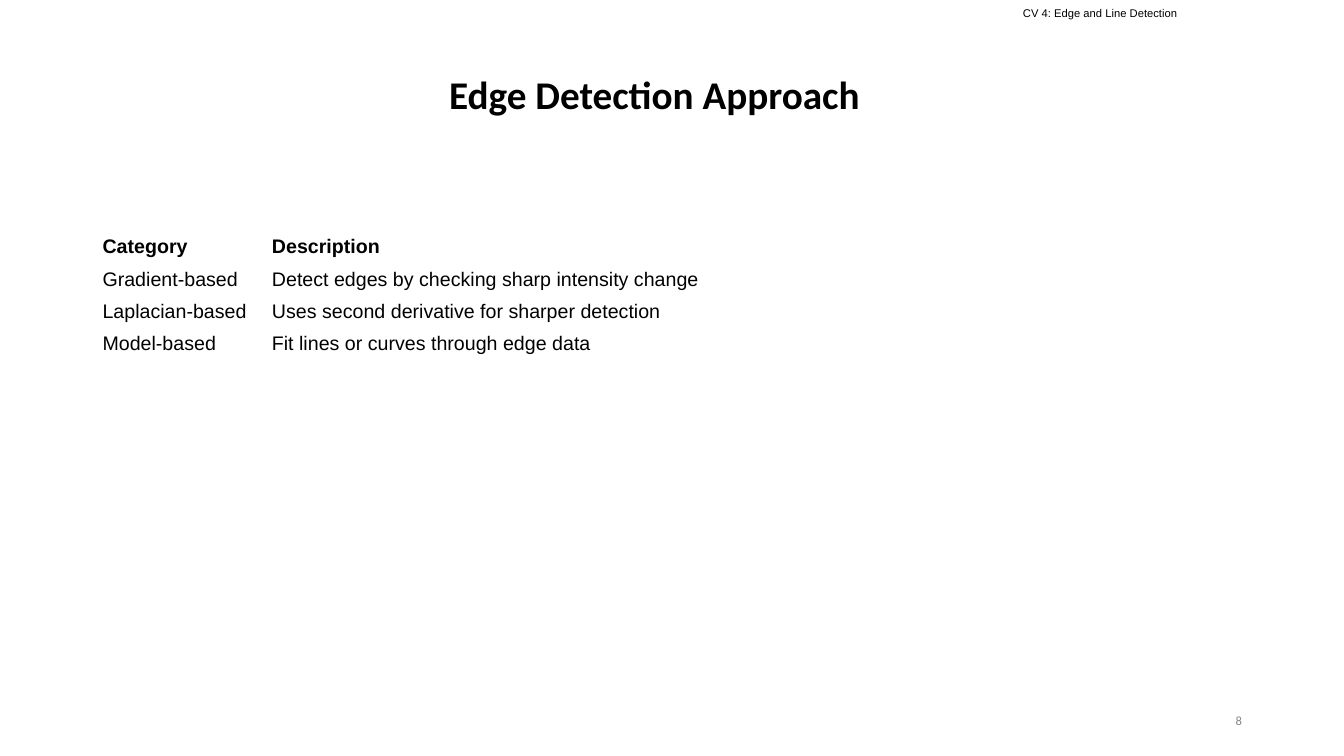
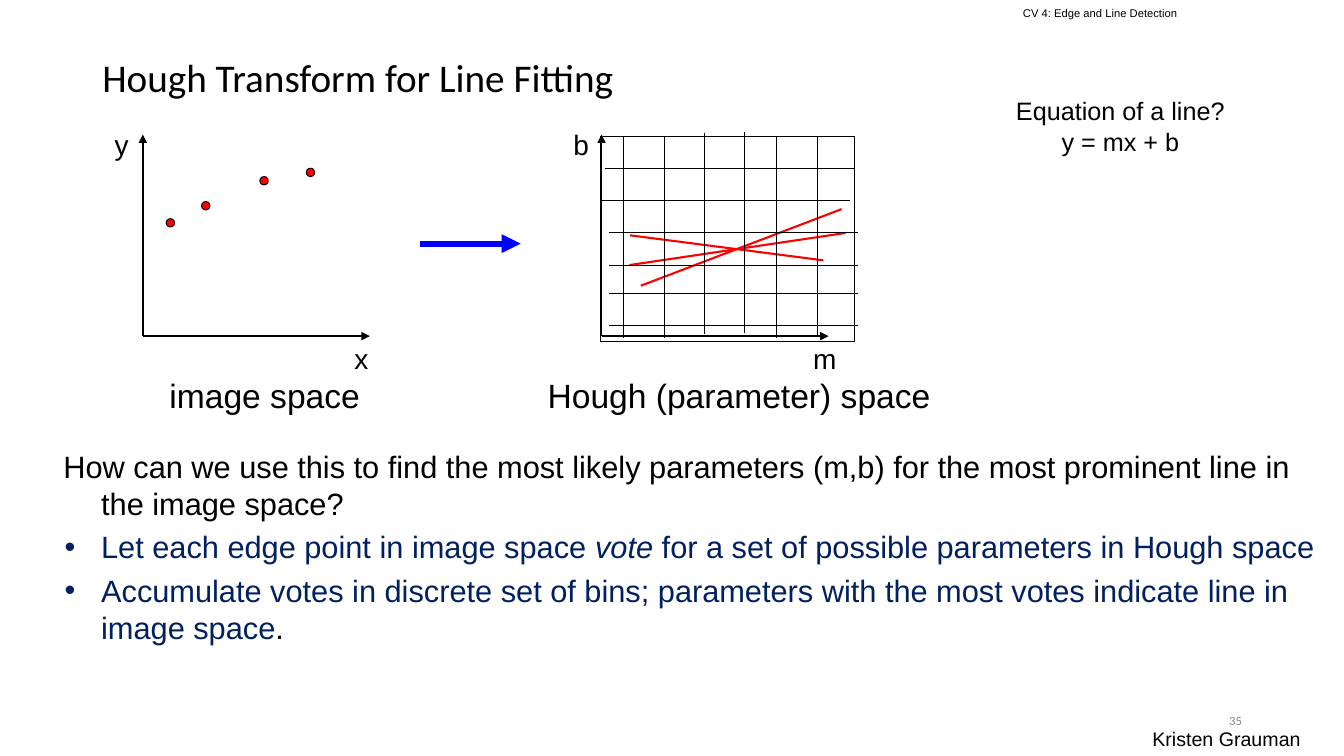
from lxml.etree import SubElement
from pptx import Presentation
from pptx.dml.color import RGBColor
from pptx.enum.shapes import MSO_CONNECTOR, MSO_SHAPE
from pptx.enum.text import MSO_ANCHOR, PP_ALIGN
from pptx.oxml.ns import qn
from pptx.util import Cm, Pt

BLACK, GREY, NAVY = "000000", "888888", "002060"
RED, BLUE = "FF0000", "0000FF"
color = RGBColor.from_string


def add_text(page, place, text, size, align=PP_ALIGN.LEFT, font="Arial",
             hue=BLACK, anchor=MSO_ANCHOR.TOP, bold=False, spacing=None):
    """Add a text box; place is left, top, width, height in cm."""
    box = page.shapes.add_textbox(*[Cm(length) for length in place])
    frame = box.text_frame
    frame.word_wrap = True
    frame.vertical_anchor = anchor
    frame.text = text
    for para in frame.paragraphs:
        para.alignment = align
        para.line_spacing = spacing
        for span in para.runs:
            span.font.name, span.font.size, span.font.bold = font, Pt(size), bold
            span.font.color.rgb = color(hue)
    return box


def add_line(page, start, end, hue=BLACK, width=0.75, arrow=False):
    """Add a straight line between two points in cm."""
    line = page.shapes.add_connector(
        MSO_CONNECTOR.STRAIGHT, *[Cm(length) for length in start + end])
    line.line.color.rgb = color(hue)
    line.line.width = Pt(width)
    if arrow:
        SubElement(line.line._get_or_add_ln(), qn("a:tailEnd"), type="triangle")
    SubElement(line._element.spPr, qn("a:effectLst"))


deck = Presentation()
deck.slide_width, deck.slide_height = Cm(33.87), Cm(19.05)

# Shared header, title and page number
pages = []
for title, number, top, align, bold in [
    ("Edge Detection Approach", "8", 1.02, PP_ALIGN.CENTER, True),
    ("Hough Transform for Line Fitting", "35", 0.58, PP_ALIGN.LEFT, False),
]:
    page = deck.slides.add_slide(deck.slide_layouts[6])
    header = add_text(page, (25.53, 0, 8.33, 0.86), "CV 4: Edge and Line Detection", 8)
    header.text_frame.margin_top = header.text_frame.margin_bottom = Cm(0.25)
    add_text(page, (2.33, top, 28.32, 2.84), title, 28, align, "Calibri",
             anchor=MSO_ANCHOR.MIDDLE, bold=bold, spacing=0.9)
    add_text(page, (23.93, 17.65, 7.62, 1.02), number, 9, PP_ALIGN.RIGHT,
             "Calibri", GREY, MSO_ANCHOR.MIDDLE)
    pages.append(page)
approach_page, hough_page = pages

# Table of approaches
rows = [
    ("Category", "Description"),
    ("Gradient-based", "Detect edges by checking sharp intensity change"),
    ("Laplacian-based", "Uses second derivative for sharper detection"),
    ("Model-based", "Fit lines or curves through edge data"),
]
row_height = 0.81
table = approach_page.shapes.add_table(
    len(rows), 2, Cm(2.33), Cm(5.82), Cm(18.87), Cm(row_height * len(rows))).table
table.first_row = table.horz_banding = False
table.columns[0].width, table.columns[1].width = Cm(4.27), Cm(14.6)
for row_index, row in enumerate(rows):
    for column_index, text in enumerate(row):
        cell = table.cell(row_index, column_index)
        cell.fill.background()
        cell.vertical_anchor = MSO_ANCHOR.MIDDLE
        cell.margin_top = cell.margin_bottom = Cm(0.1)
        cell.text = text
        font = cell.text_frame.paragraphs[0].runs[0].font
        font.name, font.size, font.bold = "Arial", Pt(14), row_index == 0
        font.color.rgb = color(BLACK)

# Credit and line equation
add_text(hough_page, (28.79, 18.19, 5.08, 0.86), "Kristen Grauman", 14)
add_text(hough_page, (24.74, 2.29, 6.99, 1.8), "Equation of a line?\ny = mx + b",
         18, PP_ALIGN.CENTER)

# Axes of both spaces
axis_top, axis_bottom, axis_length = 3.39, 8.47, 5.72
for left, across, up, name, name_left, name_width in [
    (3.6, "x", "y", "image space", 4.02, 5.31),
    (15.16, "m", "b", "Hough (parameter) space", 13.55, 10.26),
]:
    origin = (left, axis_bottom)
    add_line(hough_page, origin, (left, axis_top), width=1, arrow=True)
    add_line(hough_page, origin, (left + axis_length, axis_bottom), width=1, arrow=True)
    add_text(hough_page, (left + 5.08, axis_bottom, 1.1, 1.12), across, 20)
    add_text(hough_page, (left - 0.96, 3.1, 0.9, 1.12), up, 20)
    add_text(hough_page, (name_left, 9.32, name_width, 1.27), name, 24)

# Edge points, arrow and their lines in Hough space
for left, top in [(4.19, 5.51), (5.08, 5.08), (6.55, 4.45), (7.72, 4.24)]:
    point = hough_page.shapes.add_shape(
        MSO_SHAPE.OVAL, Cm(left), Cm(top), Cm(0.21), Cm(0.21))
    point.shadow.inherit = False
    point.fill.solid()
    point.fill.fore_color.rgb = color(RED)
    point.line.color.rgb = color(BLACK)
    point.line.width = Pt(0.75)
add_line(hough_page, (10.58, 6.14), (13.12, 6.14), BLUE, 4.5, arrow=True)
for start, end in [
    ((15.88, 5.93), (20.75, 6.56)),
    ((16.15, 7.2), (21.21, 5.27)),
    ((15.86, 6.68), (21.31, 5.87)),
]:
    add_line(hough_page, start, end, RED, 1.5)

# Grid of bins
frame = hough_page.shapes.add_shape(
    MSO_SHAPE.RECTANGLE, Cm(15.14), Cm(3.43), Cm(6.4), Cm(5.18))
frame.shadow.inherit = False
frame.fill.background()
frame.line.color.rgb = color(BLACK)
frame.line.width = Pt(0.75)
for left, y in [(15.24, 4.24), (15.14, 5.05), (15.34, 5.87),
                (15.34, 6.68), (15.34, 7.39), (15.34, 8.2)]:
    add_line(hough_page, (left, y), (left + 6.27, y))
for x, top in [(15.72, 3.45), (16.74, 3.45), (17.75, 3.35),
               (18.77, 3.33), (19.58, 3.45), (20.6, 3.43)]:
    add_line(hough_page, (x, top), (x, top + 5.06))

# Question and voting steps
steps = [
    [("How can we use this to find the most likely parameters (m,b) "
      "for the most prominent line in the image space?", BLACK)],
    [("Let each edge point in image space ", NAVY), ("vote ", NAVY),
     ("for a set of possible parameters in Hough space", NAVY)],
    [("Accumulate votes in discrete set of bins; parameters with the most "
      "votes indicate line in image space", NAVY), (".", BLACK)],
]
body = add_text(hough_page, (1.35, 11.15, 32.13, 5.28), "", 22).text_frame
for index, spans in enumerate(steps):
    para = body.add_paragraph() if index else body.paragraphs[0]
    properties = para._p.get_or_add_pPr()
    properties.set("marL", str(Cm(0.95)))
    properties.set("indent", str(Cm(-0.92 if index else -0.95)))
    if index:
        para.space_before = Pt(4.8)
        bullet_color = SubElement(properties, qn("a:buClr"))
        SubElement(bullet_color, qn("a:srgbClr"), val=NAVY)
        SubElement(properties, qn("a:buFont"), typeface="Arial")
        SubElement(properties, qn("a:buChar"), char="•")
    for text, hue in spans:
        span = para.add_run()
        span.text = text
        span.font.name, span.font.size = "Arial", Pt(22)
        span.font.italic = text == "vote "
        span.font.color.rgb = color(hue)

deck.save("out.pptx")
